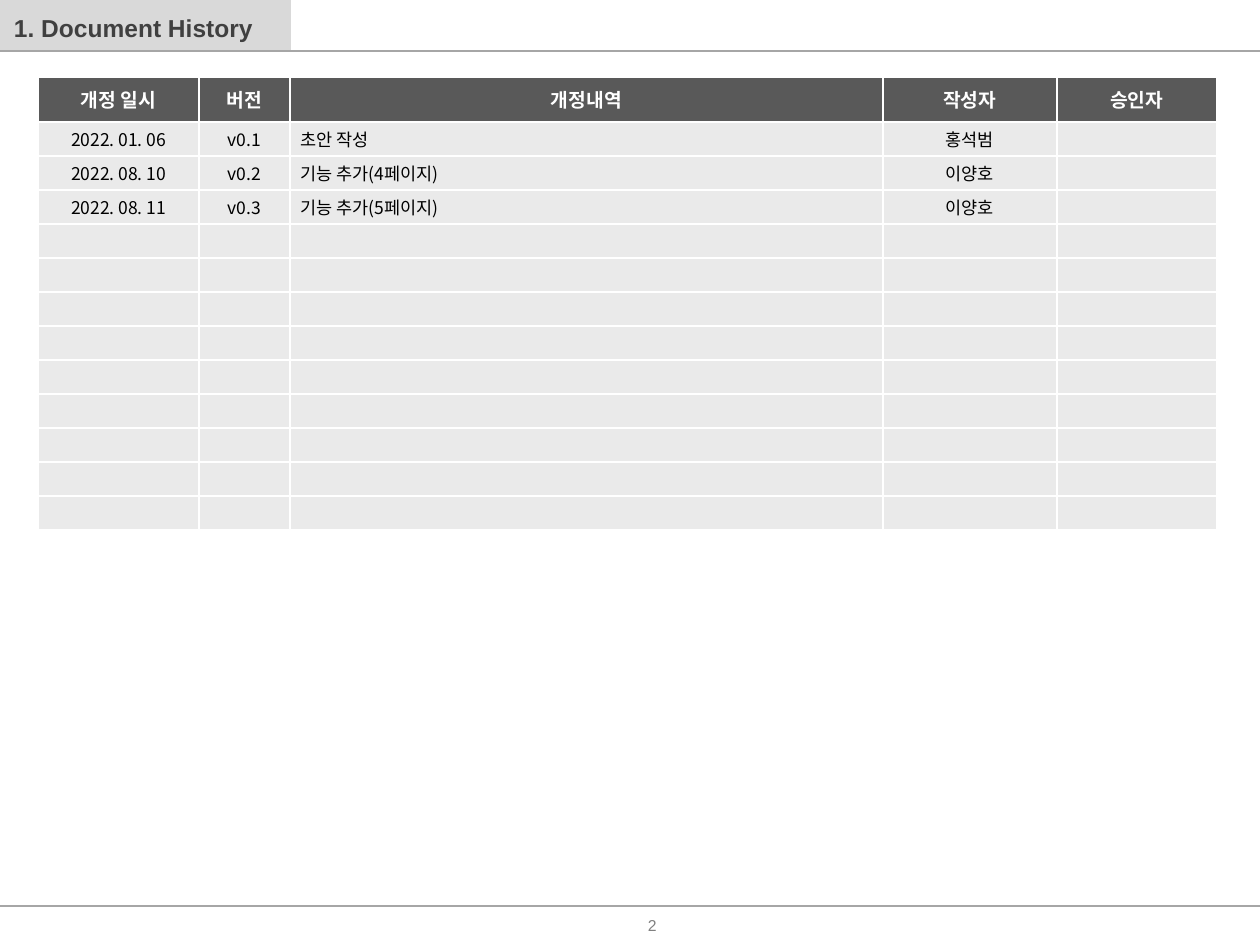
import dataclasses

import lxml.etree
import pptx
import pptx.dml.color
import pptx.enum.shapes
import pptx.enum.text
import pptx.oxml.ns
import pptx.util

PX = 914400 // 126
WIDTH, HEIGHT = 1260, 945

WHITE = pptx.dml.color.RGBColor(0xFF, 0xFF, 0xFF)
BLACK = pptx.dml.color.RGBColor(0x00, 0x00, 0x00)
TAB_GREY = pptx.dml.color.RGBColor(0xD9, 0xD9, 0xD9)
RULE_GREY = pptx.dml.color.RGBColor(0xA6, 0xA6, 0xA6)
TITLE_GREY = pptx.dml.color.RGBColor(0x40, 0x40, 0x40)
NUMBER_GREY = pptx.dml.color.RGBColor(0x80, 0x80, 0x80)
HEADER_GREY = pptx.dml.color.RGBColor(0x59, 0x59, 0x59)
BODY_GREY = pptx.dml.color.RGBColor(0xEA, 0xEA, 0xEA)

ARIAL = "Arial"
KOREAN = "Noto Sans CJK KR"
LEFT = pptx.enum.text.PP_ALIGN.LEFT
CENTER = pptx.enum.text.PP_ALIGN.CENTER
MIDDLE = pptx.enum.text.MSO_ANCHOR.MIDDLE


@dataclasses.dataclass(frozen=True)
class TextStyle:
    size: int
    color: pptx.dml.color.RGBColor
    font: str = ARIAL
    bold: bool = False


@dataclasses.dataclass(frozen=True)
class Column:
    heading: str
    width: int
    align: pptx.enum.text.PP_ALIGN = CENTER


TITLE = TextStyle(14, TITLE_GREY, bold=True)
NUMBER = TextStyle(9, NUMBER_GREY)
HEADER = TextStyle(11, WHITE, bold=True)
BODY = TextStyle(10, BLACK, KOREAN)

COLUMNS = [
    Column("개정 일시", 161),
    Column("버전", 91),
    Column("개정내역", 593, LEFT),
    Column("작성자", 174),
    Column("승인자", 160),
]
REVISIONS = [
    ("2022. 01. 06", "v0.1", "초안 작성", "홍석범", ""),
    ("2022. 08. 10", "v0.2", "기능 추가(4페이지)", "이양호", ""),
    ("2022. 08. 11", "v0.3", "기능 추가(5페이지)", "이양호", ""),
]
BODY_ROWS = 12
HEADER_HEIGHT, ROW_HEIGHT = 45, 34
RULES_Y = (51, 906)


def px(value: int) -> pptx.util.Emu:
    return pptx.util.Emu(value * PX)


def style_paragraph(p, style: TextStyle, align) -> None:
    p.alignment = align
    for r in p.runs:
        r.font.name = style.font
        r.font.size = pptx.util.Pt(style.size)
        r.font.bold = style.bold
        r.font.color.rgb = style.color
        ea = lxml.etree.SubElement(r.font._element, pptx.oxml.ns.qn("a:ea"))
        ea.set("typeface", KOREAN)


def fill_text(sp, text: str, style: TextStyle, align) -> None:
    """Set one line of text in a shape without insets."""
    tf = sp.text_frame
    tf.text = text
    tf.word_wrap = True
    tf.vertical_anchor = MIDDLE
    tf.margin_left = tf.margin_right = tf.margin_top = tf.margin_bottom = 0
    style_paragraph(tf.paragraphs[0], style, align)


def add_tab(s) -> None:
    sp = s.shapes.add_shape(
        pptx.enum.shapes.MSO_SHAPE.RECTANGLE, 0, 0, px(291), px(51))
    sp.shadow.inherit = False
    sp.fill.solid()
    sp.fill.fore_color.rgb = TAB_GREY
    sp.line.fill.background()


def add_rule(s, y: int) -> None:
    line = s.shapes.add_connector(
        pptx.enum.shapes.MSO_CONNECTOR.STRAIGHT, 0, px(y), px(WIDTH), px(y))
    line.line.color.rgb = RULE_GREY
    line.line.width = pptx.util.Pt(0.75)
    lxml.etree.SubElement(
        line._element.spPr, pptx.oxml.ns.qn("a:effectLst"))


def add_title(s) -> None:
    sp = s.shapes.title
    sp.left, sp.top, sp.width, sp.height = px(14), px(13), px(373), px(30)
    fill_text(sp, "1. Document History", TITLE, LEFT)
    s.shapes._spTree.append(sp._element)  # in front of the grey tab


def add_page_number(s) -> None:
    sp = s.shapes.add_textbox(px(563), px(908), px(174), px(35))
    fill_text(sp, " 2", NUMBER, CENTER)


def set_borders(cell) -> None:
    tc_pr = cell._tc.get_or_add_tcPr()
    for side in ("lnL", "lnR", "lnT", "lnB"):
        ln = lxml.etree.SubElement(tc_pr, pptx.oxml.ns.qn(f"a:{side}"))
        ln.set("w", str(pptx.util.Pt(1)))
        fill = lxml.etree.SubElement(ln, pptx.oxml.ns.qn("a:solidFill"))
        color = lxml.etree.SubElement(fill, pptx.oxml.ns.qn("a:srgbClr"))
        color.set("val", str(WHITE))


def fill_cell(cell, text: str, style: TextStyle, align, background) -> None:
    set_borders(cell)
    cell.fill.solid()
    cell.fill.fore_color.rgb = background
    cell.vertical_anchor = MIDDLE
    cell.margin_left = cell.margin_right = px(11)
    cell.margin_top = cell.margin_bottom = px(1)
    p = cell.text_frame.paragraphs[0]
    p.text = text
    p.space_before = pptx.util.Pt(2)
    style_paragraph(p, style, align)
    if not text:  # keeps an empty row from growing
        p._p.get_or_add_endParaRPr().set("sz", str(style.size * 100))


def add_history_table(s) -> None:
    width = sum(column.width for column in COLUMNS)
    height = HEADER_HEIGHT + BODY_ROWS * ROW_HEIGHT
    table = s.shapes.add_table(
        BODY_ROWS + 1, len(COLUMNS), px(38), px(77), px(width), px(height)
    ).table
    table.first_row = table.horz_banding = False
    blank = ("",) * len(COLUMNS)
    rows = REVISIONS + [blank] * (BODY_ROWS - len(REVISIONS))

    table.rows[0].height = px(HEADER_HEIGHT)
    for i, column in enumerate(COLUMNS):
        table.columns[i].width = px(column.width)
        fill_cell(table.cell(0, i), column.heading, HEADER, CENTER, HEADER_GREY)
    for j, row in enumerate(rows, start=1):
        table.rows[j].height = px(ROW_HEIGHT)
        for i, (column, text) in enumerate(zip(COLUMNS, row)):
            fill_cell(table.cell(j, i), text, BODY, column.align, BODY_GREY)


def main() -> None:
    prs = pptx.Presentation()
    prs.slide_width, prs.slide_height = px(WIDTH), px(HEIGHT)
    s = prs.slides.add_slide(prs.slide_layouts[5])
    add_tab(s)
    for y in RULES_Y:
        add_rule(s, y)
    add_page_number(s)
    add_title(s)
    add_history_table(s)
    prs.save("out.pptx")


if __name__ == "__main__":
    main()
